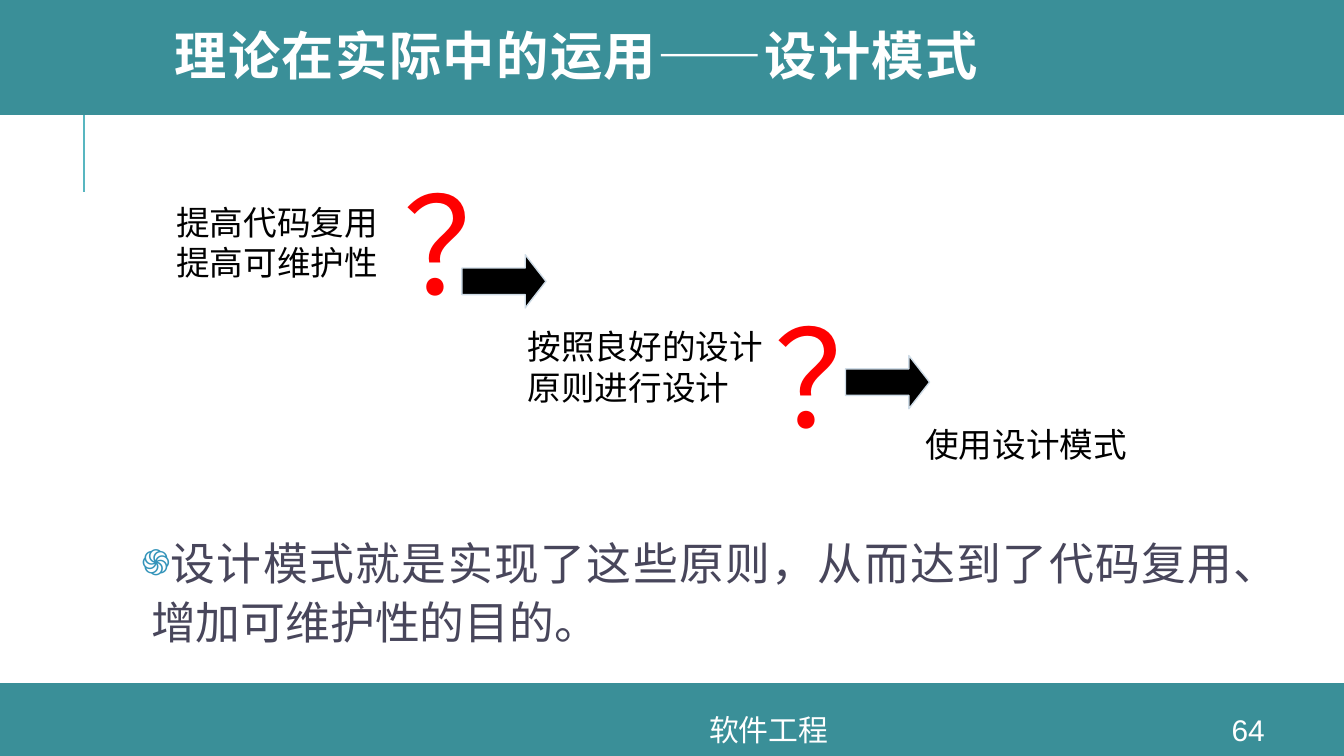
"""Build the slide on applying theory in practice through design patterns."""
from lxml import etree
from pptx import Presentation
from pptx import util as u
from pptx.dml.color import RGBColor
from pptx.enum import shapes, text
from pptx.oxml import ns

PX = 9525
TEAL, WHITE, BLACK, RED = "3A8F98", "FFFFFF", "000000", "FF0000"


def color(target, value):
    if hasattr(target, "solid"):
        target.solid()
        target = target.fore_color
    else:
        target = target.color
    target.rgb = RGBColor.from_string(value)


def style(para, size, value, face="Arial"):
    para.font.size = u.Pt(size)
    para.font.name = face
    color(para.font, value)


deck = Presentation()
deck.slide_width, deck.slide_height = 960 * PX, 540 * PX
page = deck.slides.add_slide(deck.slide_layouts[1])

rule = page.shapes.add_connector(
    shapes.MSO_CONNECTOR.STRAIGHT, 60 * PX, 137 * PX, 60 * PX, 65 * PX)
color(rule.line, "58B6C0")
rule.line.width = u.Pt(1.5)
etree.SubElement(rule.element.spPr, ns.qn("a:effectLst"))

for top, height in ((488, 52), (-3, 85)):
    band = page.shapes.add_shape(
        shapes.MSO_SHAPE.RECTANGLE, 0, top * PX, 960 * PX, height * PX)
    band.shadow.inherit = False
    color(band.fill, TEAL)
    band.line.fill.background()

for left, top in ((330, 182), (604, 254)):
    arrow = page.shapes.add_shape(
        shapes.MSO_SHAPE.RIGHT_ARROW, left * PX, top * PX, 60 * PX, 38 * PX)
    arrow.adjustments[0], arrow.adjustments[1] = 0.5, 0.39
    arrow.shadow.inherit = False
    color(arrow.fill, BLACK)
    color(arrow.line, "CEDBE6")
    arrow.line.width = u.Pt(0.75)

title, body = page.placeholders
for holder, bounds in ((title, (115, 0, 815, 87)), (body, (96, 374, 823, 118))):
    holder.left, holder.top, holder.width, holder.height = [n * PX for n in bounds]
    holder.element.getparent().append(holder.element)
    holder.text_frame.auto_size = text.MSO_AUTO_SIZE.NONE

title.text_frame.text = "理论在实际中的运用——设计模式"
title.text_frame.vertical_anchor = text.MSO_ANCHOR.MIDDLE
para = title.text_frame.paragraphs[0]
para.alignment = text.PP_ALIGN.LEFT
para.line_spacing = 0.8
style(para, 28, WHITE, "Montserrat")
para.font.bold = True
para.runs[0]._r.get_or_add_rPr().set("spc", "80")

frame = body.text_frame
frame.text = "设计模式就是实现了这些原则，从而达到了代码复用、增加可维护性的目的。"
frame.margin_left = frame.margin_right = frame.margin_top = frame.margin_bottom = 5 * PX
para = frame.paragraphs[0]
para.alignment = text.PP_ALIGN.JUSTIFY
para.line_spacing = 1.1
para.space_before = u.Pt(0)
props = para._p.get_or_add_pPr()
props.set("marL", str(7 * PX))
props.set("indent", str(-45 * PX))
bullet_color = etree.SubElement(props, ns.qn("a:buClr"))
etree.SubElement(bullet_color, ns.qn("a:srgbClr"), val="3494BA")
etree.SubElement(props, ns.qn("a:buSzPct"), val="80000")
etree.SubElement(props, ns.qn("a:buFont"), typeface="Arial")
etree.SubElement(props, ns.qn("a:buChar"), char="֍")
style(para, 24, "48465B")

for words, bounds, size, value, wrap in (
    (("提高代码复用", "提高可维护性"), (117, 140, 162, 67), 18, BLACK, False),
    (("按照良好的设计原则进行设计",), (368, 229, 192, 67), 18, BLACK, True),
    (("？",), (279, 111, 30, 125), 72, RED, True),
    (("？",), (544, 206, 30, 125), 72, RED, True),
    (("使用设计模式",), (652, 299, 165, 37), 18, BLACK, True),
):
    box = page.shapes.add_textbox(*[n * PX for n in bounds])
    frame = box.text_frame
    frame.text = "\n".join(words)
    frame.word_wrap = wrap
    frame.auto_size = text.MSO_AUTO_SIZE.SHAPE_TO_FIT_TEXT
    frame.margin_left = frame.margin_right = 9 * PX
    frame.margin_top = frame.margin_bottom = 4 * PX
    for para in frame.paragraphs:
        style(para, size, value)

for words, left, width in (("软件工程", 251, 596), ("64", 853, 77)):
    box = page.shapes.add_textbox(left * PX, 510 * PX, width * PX, 22 * PX)
    frame = box.text_frame
    frame.text = words
    frame.word_wrap = True
    frame.vertical_anchor = text.MSO_ANCHOR.MIDDLE
    para = frame.paragraphs[0]
    para.alignment = text.PP_ALIGN.CENTER
    style(para, 16, WHITE)

deck.save("out.pptx")
